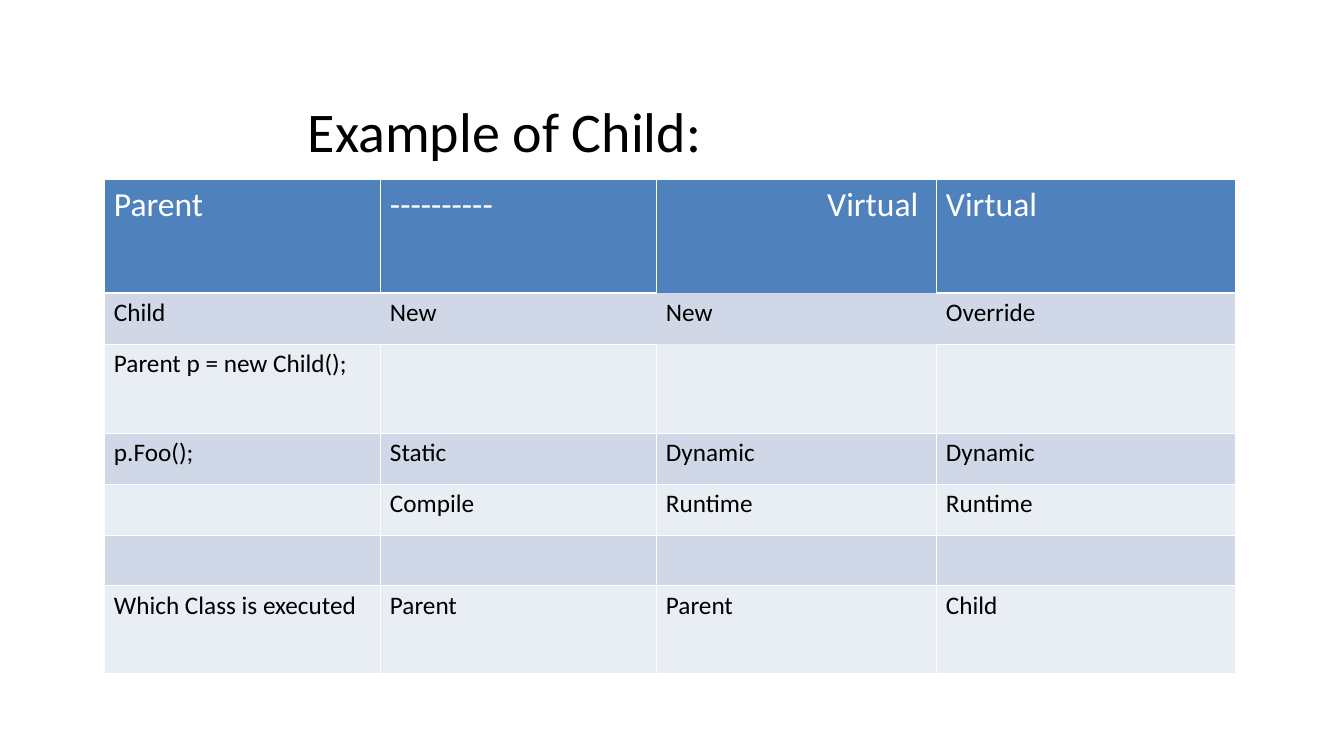
import pptx
import pptx.dml.color
import pptx.enum.text
import pptx.oxml
import pptx.oxml.ns
import pptx.util

PX = 914400 / 67.2
COLORS = {"paper": "FFFFFF", "ink": "000000", "header": "4F81BD",
          "dark_band": "D0D8E8", "light_band": "E9EDF4"}
FONT = "Calibri"
ALIGN = pptx.enum.text.PP_ALIGN

COLUMNS = [276, 276, 280, 299]
ROWS = [
    (114, ["Parent", "----------", "Virtual ", "Virtual"]),
    (51, ["Child", "New", "New", "Override"]),
    (89, ["Parent p = new Child();", "", "", ""]),
    (51, ["p.Foo();", "Static", "Dynamic", "Dynamic"]),
    (51, ["", "Compile", "Runtime", "Runtime"]),
    (51, ["", "", "", ""]),
    (88, ["Which Class is executed", "Parent", "Parent", "Child"]),
]
HEADER_ALIGN = [ALIGN.LEFT, ALIGN.LEFT, ALIGN.RIGHT, ALIGN.JUSTIFY]
# Sides that carry a line, where a cell does not have all four
BORDER_SIDES = {(0, 2): "LRT", (1, 0): "LTB", (1, 1): "TB", (1, 2): "",
                (1, 3): "RTB", (2, 2): "LRB"}


def px(length):
    return pptx.util.Emu(round(length * PX))


def rgb(name):
    return pptx.dml.color.RGBColor.from_string(COLORS[name])


def format_font(font, size, color):
    for key, value in {"name": FONT, "size": pptx.util.Pt(size), "bold": False}.items():
        setattr(font, key, value)
    font.color.rgb = rgb(color)


def set_borders(cell, row, column):
    """Draw white lines on the cell's own sides and clear the others."""
    properties = cell._tc.get_or_add_tcPr()
    shown = BORDER_SIDES.get((row, column), "LRTB")
    for index, side in enumerate("LRTB"):
        points = 3 if row == 0 and side == "B" else 1
        paint = (f'<a:solidFill><a:srgbClr val="{COLORS["paper"]}"/></a:solidFill>'
                 if side in shown else "<a:noFill/>")
        properties.insert(index, pptx.oxml.parse_xml(
            f'<a:ln{side} {pptx.oxml.ns.nsdecls("a")} w="{points * 12700}">{paint}</a:ln{side}>'))


def add_heading(slide, left, top, width, height):
    title = slide.shapes.title
    box = {"left": left, "top": top, "width": width, "height": height}
    for key, value in box.items():
        setattr(title, key, px(value))
    frame = title.text_frame
    frame.text = "Example of Child:"
    layout = {"word_wrap": True, "vertical_anchor": pptx.enum.text.MSO_ANCHOR.TOP,
              "auto_size": pptx.enum.text.MSO_AUTO_SIZE.SHAPE_TO_FIT_TEXT}
    for key, value in layout.items():
        setattr(frame, key, value)
    heading = frame.paragraphs[0]
    heading.alignment = ALIGN.LEFT
    format_font(heading.runs[0].font, 60, "ink")


def fill_cell(cell, text, row, column):
    is_header = row == 0
    margins = {"margin_left": 10, "margin_right": 10, "margin_top": 5, "margin_bottom": 5}
    for key, value in margins.items():
        setattr(cell, key, px(value))
    cell.fill.solid()
    band = "header" if is_header else "dark_band" if row % 2 else "light_band"
    cell.fill.fore_color.rgb = rgb(band)
    set_borders(cell, row, column)
    if text:
        cell.text = text
        paragraph = cell.text_frame.paragraphs[0]
        paragraph.alignment = HEADER_ALIGN[column] if is_header else ALIGN.LEFT
        size, color = (36, "paper") if is_header else (27, "ink")
        format_font(paragraph.runs[0].font, size, color)


def add_binding_table(slide, left, top):
    """Show which class runs for each pair of method modifiers."""
    width, height = sum(COLUMNS), sum(height for height, _ in ROWS)
    table = slide.shapes.add_table(len(ROWS), len(COLUMNS), px(left), px(top),
                                   px(width), px(height)).table
    for column, column_width in enumerate(COLUMNS):
        table.columns[column].width = px(column_width)
    for row, (row_height, texts) in enumerate(ROWS):
        table.rows[row].height = px(row_height)
        for column, text in enumerate(texts):
            fill_cell(table.cell(row, column), text, row, column)


def main():
    deck = pptx.Presentation()
    deck.slide_width, deck.slide_height = px(1344), px(756)
    slide = deck.slides.add_slide(deck.slide_layouts[5])
    add_binding_table(slide, 104, 179)
    add_heading(slide, 301, 93, 1031, 75)
    deck.save("out.pptx")


if __name__ == "__main__":
    main()
